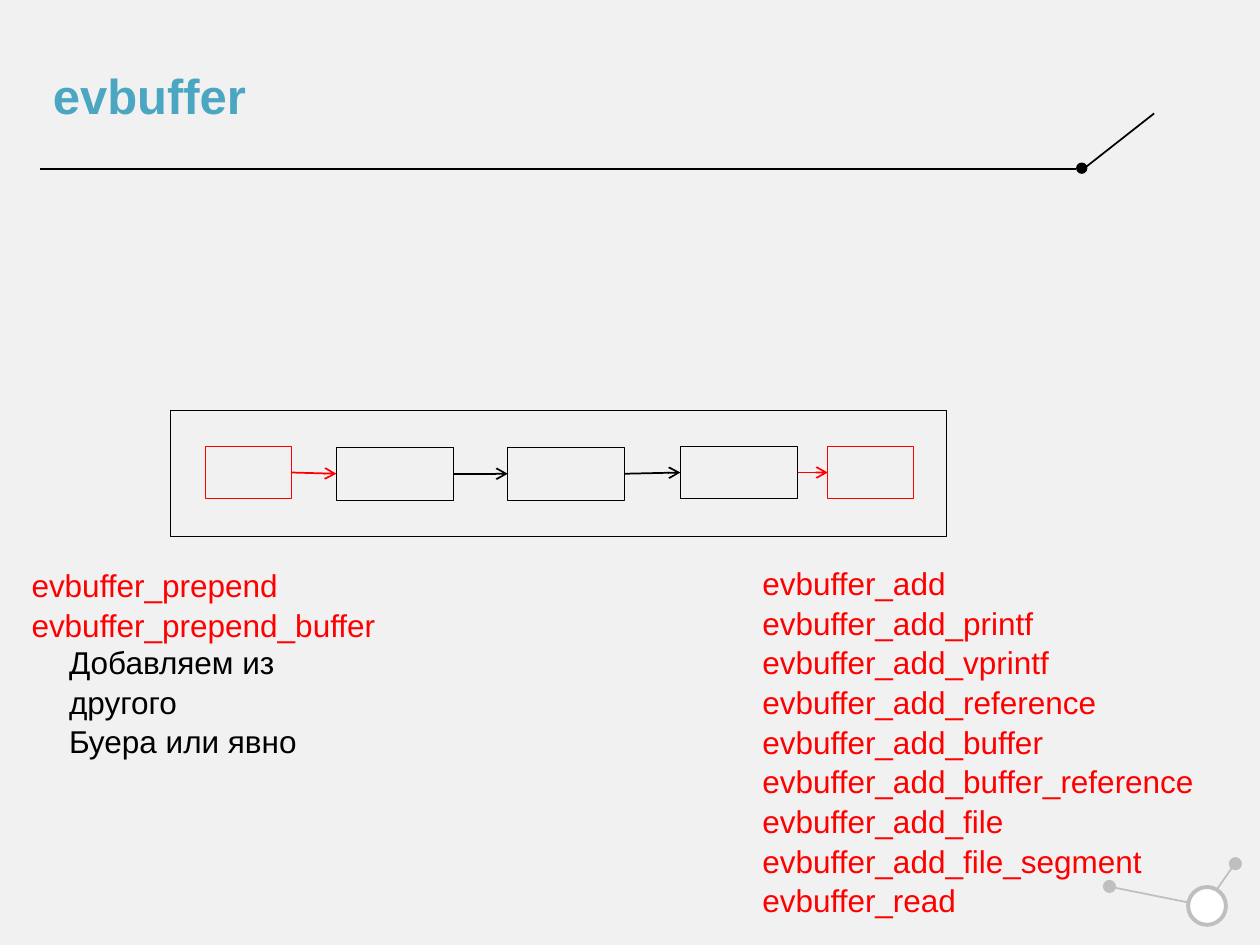
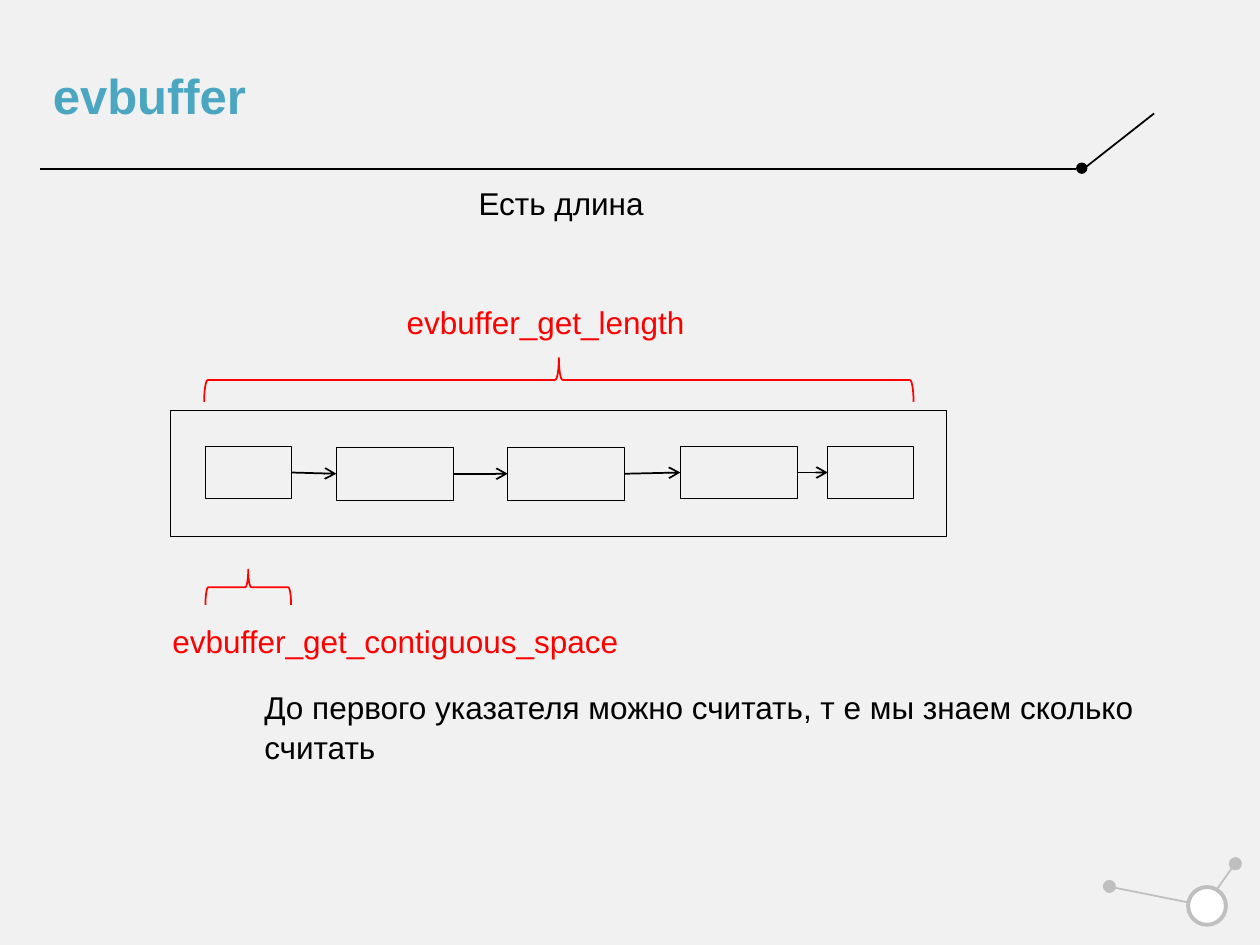
from itertools import pairwise

from lxml import etree
from pptx import Presentation
from pptx.dml.color import RGBColor
from pptx.enum.shapes import MSO_CONNECTOR, MSO_SHAPE
from pptx.enum.text import MSO_ANCHOR, MSO_AUTO_SIZE, PP_ALIGN
from pptx.oxml.ns import qn
from pptx.util import Inches, Pt

RECT, OVAL, BRACE = MSO_SHAPE.RECTANGLE, MSO_SHAPE.OVAL, MSO_SHAPE.LEFT_BRACE
STRAIGHT = MSO_CONNECTOR.STRAIGHT
TOP, MIDDLE = MSO_ANCHOR.TOP, MSO_ANCHOR.MIDDLE
LEFT, NO_FIT = PP_ALIGN.LEFT, MSO_AUTO_SIZE.NONE

FONT = "Arial"
COLORS = {"back": "F1F1F1", "title": "4BA6C1", "ink": "000000",
          "mark": "FF0000", "gray": "BFBFBF", "white": "FFFFFF"}
TWO_LISTS, TITLE_ONLY = 3, 5  # layout numbers

# Chain nodes: left, top, width
NODES = [(1.63, 3.54, 0.68), (2.67, 3.55, 0.93), (4.03, 3.55, 0.93),
         (5.4, 3.54, 0.93), (6.57, 3.54, 0.68)]
NODE_H = 0.42

ADD_CALLS = ["evbuffer_add", "evbuffer_add_printf", "evbuffer_add_vprintf",
             "evbuffer_add_reference", "evbuffer_add_buffer",
             "evbuffer_add_buffer_reference", "evbuffer_add_file",
             "evbuffer_add_file_segment", "evbuffer_read"]
PREPEND_CALLS = ["evbuffer_prepend", "evbuffer_prepend_buffer"]


def rgb(name):
    return RGBColor.from_string(COLORS[name])


def place(shape, box):
    shape.left, shape.top, shape.width, shape.height = map(Inches, box)


def write(shape, lines, size=18, color="ink", bold=False, anchor=TOP,
          spacing=1.05):
    """Fill a text box or placeholder with plain, unbulleted paragraphs."""
    frame = shape.text_frame
    frame.word_wrap = True
    frame.auto_size = NO_FIT
    frame.vertical_anchor = anchor
    frame.text = "\n".join(lines)
    for para in frame.paragraphs:
        para.alignment = LEFT
        para.line_spacing = spacing
        para.space_before = Pt(0)
        props = para._p.get_or_add_pPr()
        props.set("marL", "0")
        props.set("indent", "0")
        etree.SubElement(props, qn("a:buNone"))
        font = para.runs[0].font
        font.name, font.size, font.bold = FONT, Pt(size), bold
        font.color.rgb = rgb(color)


def label(slide, box, *lines, **style):
    write(slide.shapes.add_textbox(*map(Inches, box)), lines, **style)


def fill_list(holder, box, lines):
    place(holder, box)
    write(holder, lines, color="mark")


def draw(slide, kind, box, fill=None, line=None, weight=0.5, turn=0):
    shape = slide.shapes.add_shape(kind, *map(Inches, box))
    shape.shadow.inherit = False
    shape.rotation = turn
    if fill:
        shape.fill.solid()
        shape.fill.fore_color.rgb = rgb(fill)
    else:
        shape.fill.background()
    if line:
        shape.line.color.rgb = rgb(line)
        shape.line.width = Pt(weight)
    else:
        shape.line.fill.background()
    return shape


def link(slide, start, end, color="ink", arrow=False):
    line = slide.shapes.add_connector(STRAIGHT, *map(Inches, start + end))
    line.line.color.rgb = rgb(color)
    line.line.width = Pt(1)
    if arrow:
        etree.SubElement(line.line._get_or_add_ln(), qn("a:tailEnd"),
                         type="arrow")
    etree.SubElement(line.element.spPr, qn("a:effectLst"))
    return line


def brace(slide, box, turn, flip=False):
    shape = draw(slide, BRACE, box, line="mark", weight=1, turn=turn)
    shape.adjustments[0] = 0.083
    if flip:
        shape.element.spPr.find(qn("a:xfrm")).set("flipH", "1")


def decorate(master, slide):
    """Draw the shared ornaments and move them to the master."""
    parts = [
        link(slide, (0.32, 1.34), (8.54, 1.34)),
        draw(slide, OVAL, (8.54, 1.29, 0.09, 0.09), "ink"),
        link(slide, (8.6, 1.34), (9.16, 0.9)),
        draw(slide, OVAL, (9.76, 6.81, 0.09, 0.09), "gray", "gray", 1),
        link(slide, (9.79, 6.87), (9.65, 7.07), "gray"),
        draw(slide, OVAL, (8.76, 6.99, 0.09, 0.09), "gray", "gray", 1),
        link(slide, (8.82, 7.04), (9.52, 7.18), "gray"),
        draw(slide, OVAL, (9.43, 7.04, 0.3, 0.3), "white", "gray", 2.25),
    ]
    for part in parts:
        master.shapes.element.append(part.element)


def start(deck, layout):
    slide = deck.slides.add_slide(deck.slide_layouts[layout])
    title = slide.shapes.title
    place(title, (0.32, 0.28, 8.22, 0.95))
    write(title, ["evbuffer"], size=28, color="title", bold=True,
          anchor=MIDDLE, spacing=1)
    return slide


def chain(slide, ends):
    """Draw the buffer and its linked nodes; ends colours the outer two."""
    draw(slide, RECT, (1.35, 3.26, 6.16, 1), line="ink")
    hues = [ends, "ink", "ink", "ink", ends]
    for (x, y, w), hue in zip(NODES, hues):
        draw(slide, RECT, (x, y, w, NODE_H), line=hue)
    hues = [ends, "ink", "ink", ends]
    for ((x, y, w), (x2, y2, _)), hue in zip(pairwise(NODES), hues):
        link(slide, (x + w, y + NODE_H / 2), (x2, y2 + NODE_H / 2), hue,
             arrow=True)


def add_slide(deck):
    slide = start(deck, TWO_LISTS)
    chain(slide, "mark")
    _, left, right = slide.placeholders
    fill_list(left, (0.15, 4.43, 3.27, 0.7), PREPEND_CALLS)
    fill_list(right, (5.95, 4.41, 4.02, 2.8), ADD_CALLS)
    label(slide, (0.45, 5.04, 2.5, 0.66), "Добавляем из другого",
          "Буера или явно")
    return slide


def length_slide(deck):
    slide = start(deck, TITLE_ONLY)
    chain(slide, "ink")
    brace(slide, (4.26, 0.2, 0.35, 5.63), 90)
    label(slide, (3.13, 2.34, 2.7, 0.4), "evbuffer_get_length", color="mark")
    brace(slide, (1.83, 4.32, 0.28, 0.68), 270, flip=True)
    label(slide, (1.27, 4.87, 4.13, 0.4), "evbuffer_get_contiguous_space",
          color="mark")
    label(slide, (3.7, 1.4, 1.6, 0.38), "Есть длина")
    label(slide, (2, 5.4, 7.9, 0.38), "До первого указателя можно считать, "
          "т е мы знаем сколько считать")


def main():
    deck = Presentation()
    deck.slide_width, deck.slide_height = Inches(10), Inches(7.5)
    back = deck.slide_master.background.fill
    back.solid()
    back.fore_color.rgb = rgb("back")
    first = add_slide(deck)
    length_slide(deck)
    decorate(deck.slide_master, first)
    deck.save("out.pptx")


if __name__ == "__main__":
    main()
